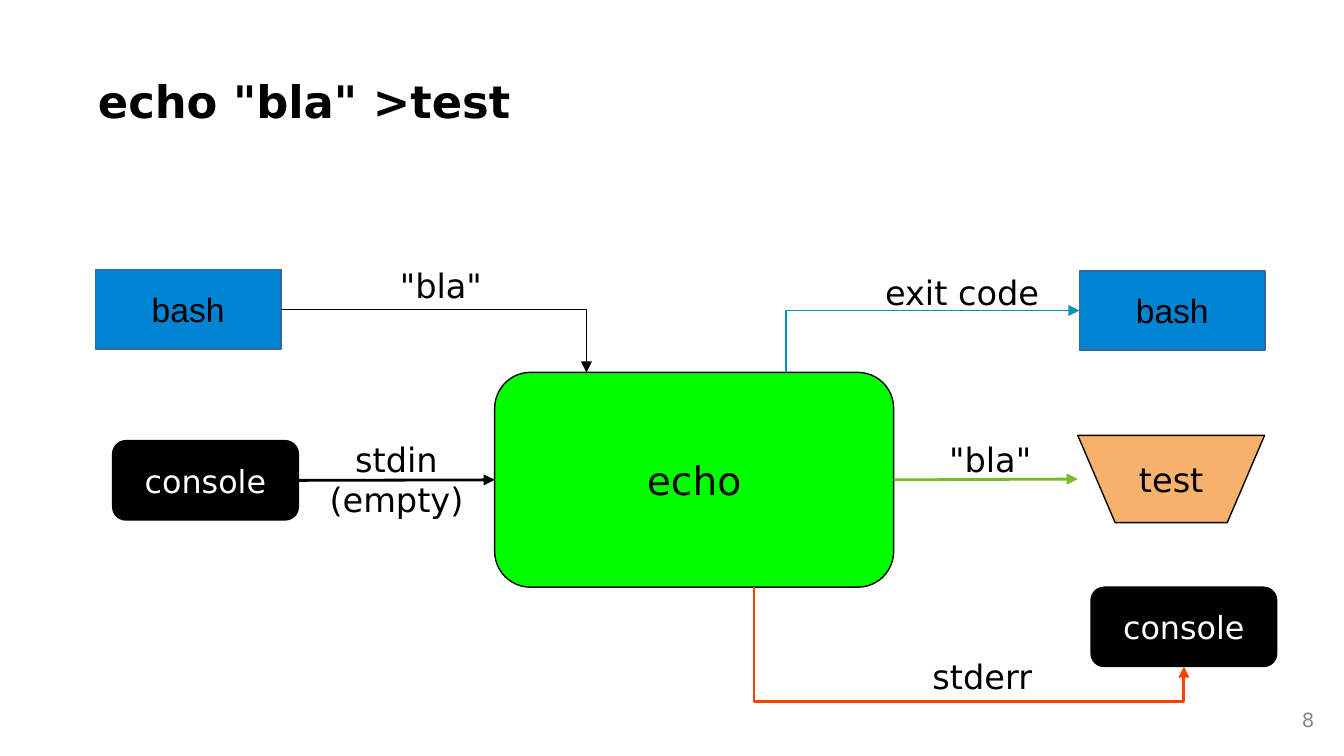
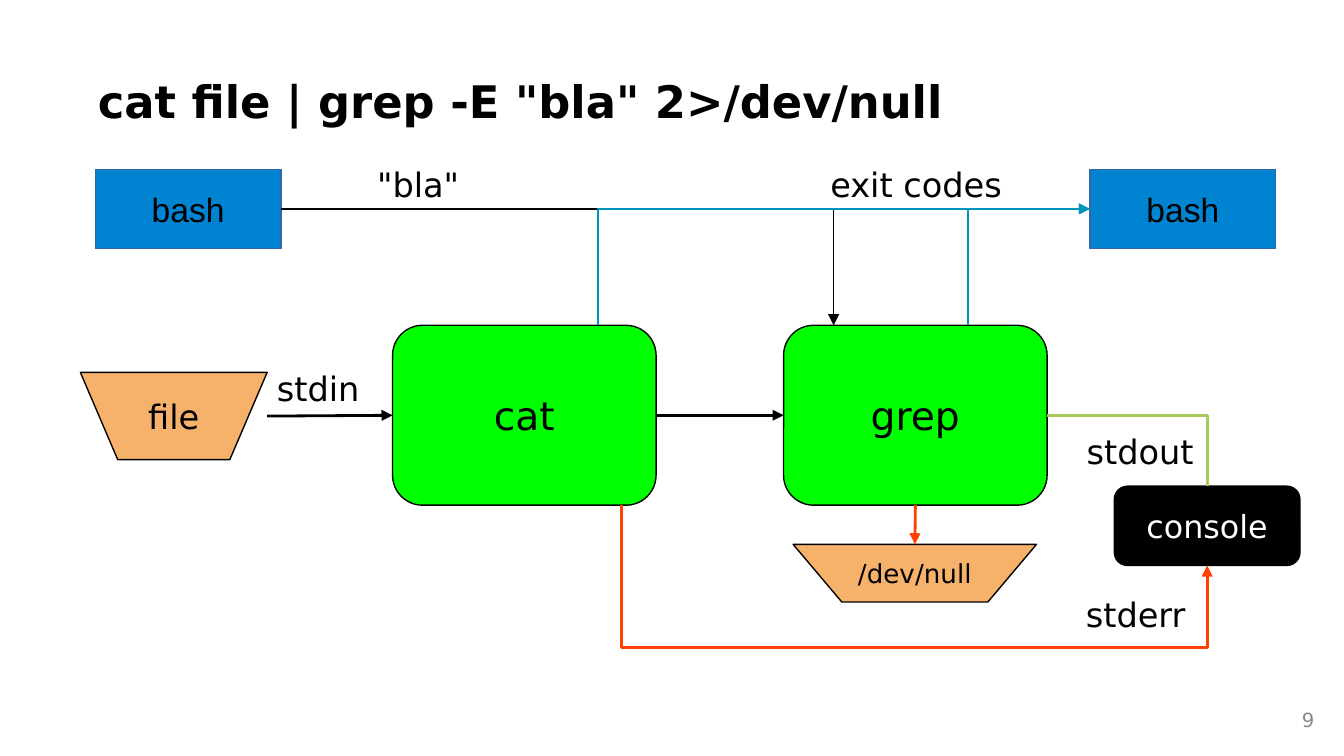
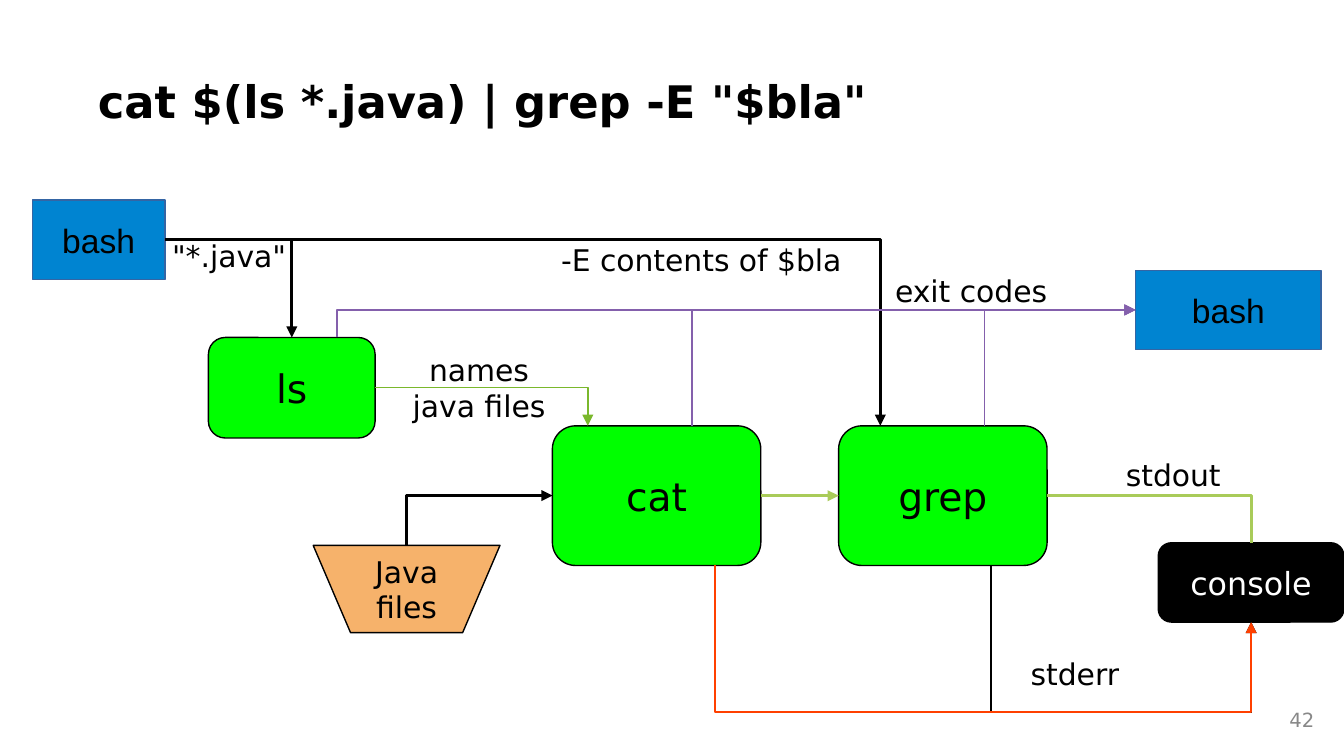
"""Build three slides that show how shell commands are wired together."""
from lxml.etree import SubElement
from pptx import Presentation
from pptx.dml.color import RGBColor as RGB
from pptx.enum.shapes import MSO_CONNECTOR as CONN, MSO_SHAPE as SHAPE
from pptx.enum.text import MSO_ANCHOR as ANCHOR, MSO_AUTO_SIZE as FIT, PP_ALIGN as ALIGN
from pptx.oxml.ns import qn
from pptx.util import Cm, Pt

COLORS = {
    "black": "000000", "white": "FFFFFF", "grey": "888888",
    "bash": "0084D1", "bash_line": "3465A4", "program": "00FF00", "file": "F6B26B",
    "exit": "0094BA", "exit_many": "8460AC", "stderr": "FF4000",
    "stdout": "7AB82C", "pipe": "A9CB59",
}
FONT = "DejaVu Sans"
THIN, THICK = 0.75, 1.5
NODES = {
    "bash": dict(shape=SHAPE.RECTANGLE, fill="bash", line="bash_line",
                 box=(3.51, 1.5), text=dict(size=18, name="Arial")),
    "console": dict(shape=SHAPE.ROUNDED_RECTANGLE, fill="black", line="black",
                    box=(3.51, 1.5), text=dict(size=17, color="white")),
    "program": dict(shape=SHAPE.ROUNDED_RECTANGLE, fill="program", line="black",
                    box=(3.94, 2.64), text=dict(size=21)),
    "file": dict(shape=SHAPE.FLOWCHART_MANUAL_OPERATION, fill="file", line="black",
                 box=(3.53, 1.65), text=dict(size=18)),
}
ROUTES = {
    "straight": None,
    "across_down": ("bentConnector2", 0, False, False),
    "up_across": ("bentConnector2", 90, True, True),
    "under": ("bentConnector3", 270, True, False),
}
SIDES = {"left": (0, None), "right": (1, None), "top": (None, 0), "bottom": (None, 1)}


def rgb(name):
    return RGB.from_string(COLORS[name])


def edge(sp, side, at=0.5):
    x, y = (at if f is None else f for f in SIDES[side])
    return round(sp.left + x * sp.width), round(sp.top + y * sp.height)


class Deck:
    """Holds the presentation, its style and the current slide."""

    def __init__(self):
        self.prs = Presentation()
        self.prs.slide_width, self.prs.slide_height = Cm(25.4), Cm(14.29)
        self.slide = None

    def set_text(self, sp, text, size, color="black", name=FONT, bold=False,
                 align=ALIGN.CENTER, anchor=ANCHOR.TOP):
        tf = sp.text_frame
        tf.text = text
        frame = dict(word_wrap=True, auto_size=FIT.NONE, vertical_anchor=anchor)
        frame.update({f"margin_{s}": Cm(0.25) for s in SIDES})
        for key, value in frame.items():
            setattr(tf, key, value)
        for p in tf.paragraphs:
            p.alignment = align
            for r in p.runs:
                for key, value in dict(size=Pt(size), name=name, bold=bold).items():
                    setattr(r.font, key, value)
                r.font.color.rgb = rgb(color)

    def page(self, title, number):
        self.slide = self.prs.slides.add_slide(self.prs.slide_layouts[5])
        sp = self.slide.shapes.title
        box = dict(left=1.6, top=1.14, width=22.3, height=2.39)
        for key, value in box.items():
            setattr(sp, key, Cm(value))
        self.set_text(sp, title, 24, bold=True, align=ALIGN.LEFT)
        self.label(number, 23.9, 13.23, 1.19, size=10.5, height=0.76, color="grey",
                   align=ALIGN.RIGHT, anchor=ANCHOR.MIDDLE)

    def label(self, text, x, y, w, size=18, height=1.09, **fmt):
        sp = self.slide.shapes.add_textbox(Cm(x), Cm(y), Cm(w), Cm(height))
        self.set_text(sp, text, size, **fmt)

    def node(self, kind, text, x, y, box=None, **fmt):
        style = NODES[kind]
        w, h = box or style["box"]
        sp = self.slide.shapes.add_shape(style["shape"], Cm(x), Cm(y), Cm(w), Cm(h))
        sp.shadow.inherit = False
        sp.fill.solid()
        sp.fill.fore_color.rgb = rgb(style["fill"])
        sp.line.color.rgb = rgb(style["line"])
        sp.line.width = Pt(THIN)
        self.set_text(sp, text, anchor=ANCHOR.MIDDLE, **{**style["text"], **fmt})
        return sp

    def arrow(self, start, end, color="black", weight=THICK, route="straight",
              floor=None, head=True):
        c = self.slide.shapes.add_connector(CONN.STRAIGHT, *start, *end)
        c.line.color.rgb = rgb(color)
        c.line.width = Pt(weight)
        sp_pr = c.element.spPr
        if head:
            SubElement(sp_pr.find(qn("a:ln")), qn("a:tailEnd"), type="triangle")
        SubElement(sp_pr, qn("a:effectLst"))
        if ROUTES[route]:
            self.bend(c, start, end, route, floor)

    def bend(self, c, start, end, route, floor):
        preset, turn, flip_h, flip_v = ROUTES[route]
        geom = c.element.spPr.find(qn("a:prstGeom"))
        geom.set("prst", preset)
        if turn:
            w, h = c.height, c.width
            box = dict(left=(start[0] + end[0] - w) // 2, top=(start[1] + end[1] - h) // 2,
                       width=w, height=h, rotation=turn)
            for key, value in box.items():
                setattr(c, key, value)
        xfrm = c.element.spPr.find(qn("a:xfrm"))
        xfrm.flipH, xfrm.flipV = flip_h, flip_v
        if floor:
            depth = (Cm(floor) - start[1]) / (end[1] - start[1])
            SubElement(geom.find(qn("a:avLst")), qn("a:gd"), name="adj1",
                       fmla=f"val {round(depth * 100000)}")


def redirect_slide(d):
    d.page('echo "bla" >test', "8")
    shell = d.node("bash", "bash", 1.8, 5.1)
    caller = d.node("bash", "bash", 20.4, 5.12)
    keyboard = d.node("console", "console", 2.13, 8.33)
    screen = d.node("console", "console", 20.62, 11.1)
    target = d.node("file", "test", 20.37, 8.23)
    echo = d.node("program", "echo", 9.35, 7.04, (7.54, 4.06))

    d.arrow(edge(keyboard, "right"), edge(echo, "left"))
    d.arrow(edge(shell, "right"), edge(echo, "top", 0.23), weight=THIN, route="across_down")
    d.arrow(edge(echo, "top", 0.73), edge(caller, "left"), "exit", THIN, "up_across")
    d.arrow(edge(echo, "bottom", 0.65), edge(screen, "bottom"), "stderr",
            route="under", floor=13.26)
    d.arrow(edge(echo, "right"), edge(target, "left"), "stdout")

    d.label('"bla" ', 5.31, 4.75, 6.25)
    d.label("exit code", 15.06, 4.9, 6.25)
    d.label("stdin\n(empty)", 5.74, 8.05, 3.51)
    d.label('"bla"', 16.99, 8.05, 3.45)
    d.label("stderr", 17.17, 12.14, 2.79)


def pipe_slide(d):
    d.page('cat file | grep -E "bla" 2>/dev/null', "9")
    shell, caller = (d.node("bash", "bash", x, 3.2) for x in (1.8, 20.6))
    screen = d.node("console", "console", 21.06, 9.19)
    cat, grep = (d.node("program", name, x, 6.15, (4.98, 3.4))
                 for name, x in (("cat", 7.42), ("grep", 14.81)))
    source = d.node("file", "file", 1.52, 7.04)
    null = d.node("file", "/dev/null", 14.99, 10.29, (4.6, 1.09), size=14)

    d.arrow(edge(source, "right"), edge(cat, "left"))
    d.arrow(edge(cat, "right"), edge(grep, "left"))
    d.arrow(edge(shell, "right"), edge(grep, "top", 0.19), weight=THIN, route="across_down")
    d.arrow(edge(grep, "right"), edge(screen, "top"), "pipe", route="across_down", head=False)
    d.arrow(edge(cat, "bottom", 0.87), edge(screen, "bottom"), "stderr",
            route="under", floor=12.24)
    d.arrow(edge(grep, "bottom"), edge(null, "top"), "stderr")
    for program, at in ((grep, 0.7), (cat, 0.78)):
        d.arrow(edge(program, "top", at), edge(caller, "left"), "exit", THIN, "up_across")

    d.label('"bla" ', 4.88, 2.84, 6.25)
    d.label("exit codes", 15.09, 2.84, 4.45)
    d.label("stdin", 4.62, 6.71, 2.79)
    d.label("stdout", 20.09, 7.9, 2.72, align=ALIGN.RIGHT)
    d.label("stderr", 20.07, 10.97, 2.79)


def substitution_slide(d):
    d.page('cat $(ls *.java) | grep -E "$bla"', "42")
    shell = d.node("bash", "bash", 0.61, 3.78, (2.51, 1.5))
    caller = d.node("bash", "bash", 21.46, 5.11)
    screen = d.node("console", "console", 21.89, 10.26)
    ls = d.node("program", "ls", 3.94, 6.38, (3.15, 1.9))
    cat, grep = (d.node("program", name, x, 8.05)
                 for name, x in (("cat", 10.44), ("grep", 15.85)))
    sources = d.node("file", "Java\nfiles", 5.92, 10.31, size=16)

    for program, at in ((ls, 0.5), (grep, 0.2)):
        d.arrow(edge(shell, "right"), edge(program, "top", at), route="across_down")
    for program, at in ((grep, 0.7), (cat, 0.67), (ls, 0.77)):
        d.arrow(edge(program, "top", at), edge(caller, "left"), "exit_many", THIN, "up_across")
    for program, at, color, weight in ((grep, 0.73, "black", THIN),
                                       (cat, 0.78, "stderr", THICK)):
        d.arrow(edge(program, "bottom", at), edge(screen, "bottom"), color, weight,
                "under", floor=13.46)
    d.arrow(edge(cat, "right"), edge(grep, "left"), "pipe")
    d.arrow(edge(grep, "right"), edge(screen, "top"), "pipe", route="across_down", head=False)
    d.arrow(edge(sources, "top"), edge(cat, "left"), route="up_across")
    d.arrow(edge(ls, "right"), edge(cat, "top", 0.17), "stdout", THIN, "across_down")

    d.label('"*.java"', 2.51, 4.24, 3.15, 16, align=ALIGN.RIGHT)
    d.label("-E contents of $bla", 10.06, 4.32, 6.1, 16, align=ALIGN.RIGHT)
    d.label("exit codes", 16.13, 4.9, 4.45, 16)
    d.label("names java files", 7.29, 6.4, 3.53, 16, 1.65)
    d.label("stdout", 20.7, 8.38, 2.95, 16)
    d.label("stderr", 18.92, 12.14, 2.79, 16)


def main():
    d = Deck()
    for build in (redirect_slide, pipe_slide, substitution_slide):
        build(d)
    d.prs.save("out.pptx")


if __name__ == "__main__":
    main()
